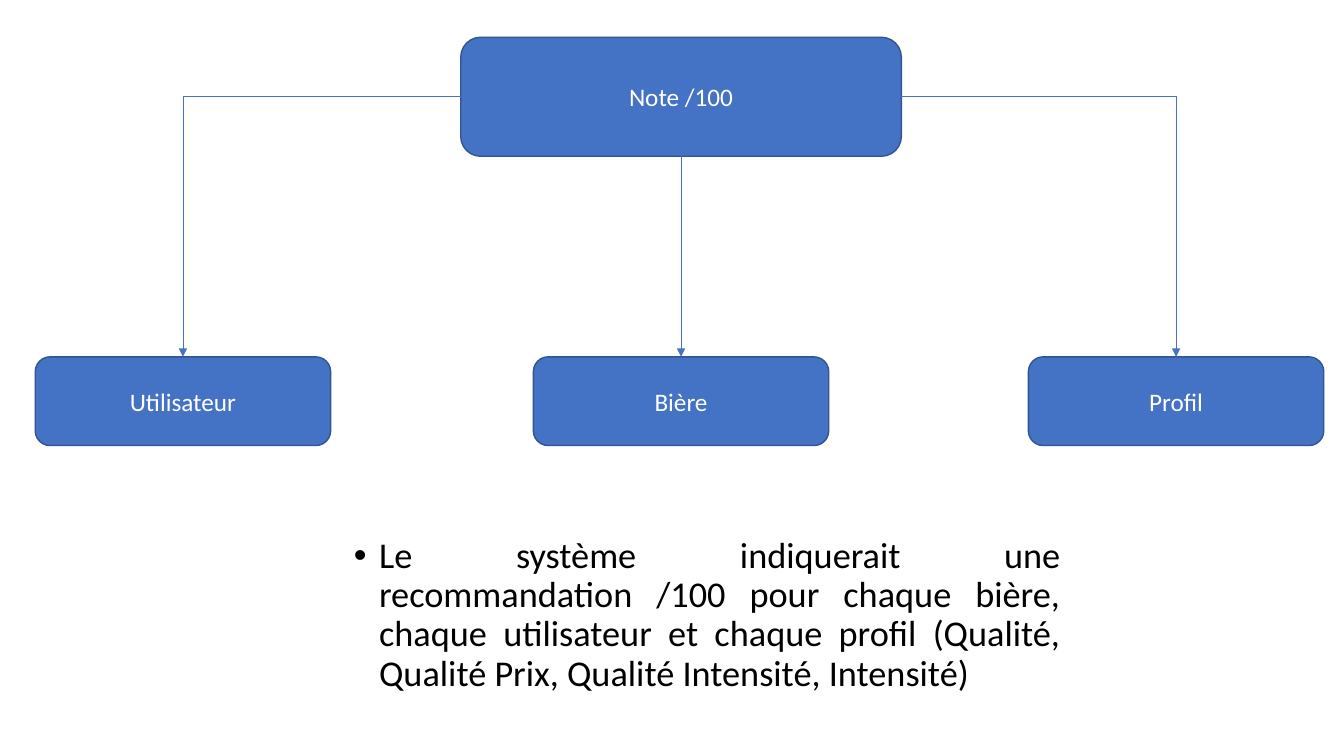
from dataclasses import dataclass

from lxml.etree import SubElement
from pptx import Presentation
from pptx.dml.color import RGBColor as Rgb
from pptx.enum.shapes import MSO_CONNECTOR as Link, MSO_SHAPE as Preset
from pptx.enum.text import MSO_ANCHOR as Anchor, MSO_AUTO_SIZE as AutoSize, PP_ALIGN as Align
from pptx.oxml.ns import qn
from pptx.util import Inches, Pt


@dataclass(frozen=True)
class Theme:
    """Colours, font and sizes of the slide."""
    fill: Rgb = Rgb(0x44, 0x72, 0xC4)
    outline: Rgb = Rgb(0x32, 0x54, 0x91)
    label: Rgb = Rgb(0xFF, 0xFF, 0xFF)
    body: Rgb = Rgb(0, 0, 0)
    font: str = "Calibri"
    label_size: float = 18
    body_size: float = 25.9


THEME = Theme()
TOP, LEFT, BOTTOM, RIGHT = range(4)
CRITERIA = (
    ("Utilisateur", 0.35, LEFT, Link.ELBOW),
    ("Bière", 5.29, BOTTOM, Link.STRAIGHT),
    ("Profil", 10.2, RIGHT, Link.ELBOW),
)
RECOMMENDATION = (
    "Le système indiquerait une recommandation /100 pour chaque bière, "
    "chaque utilisateur et chaque profil (Qualité, Qualité Prix, "
    "Qualité Intensité, Intensité)"
)


def add_run(paragraph, wording, size, color):
    """Append a run in the theme font."""
    run = paragraph.add_run()
    run.text = wording
    run.font.name = THEME.font
    run.font.size = Pt(size)
    run.font.color.rgb = color


def add_node(slide, wording, left, top, width, height):
    """Add a rounded box with a centred label."""
    node = slide.shapes.add_shape(
        Preset.ROUNDED_RECTANGLE, *map(Inches, (left, top, width, height)))
    node.shadow.inherit = False
    node.fill.solid()
    node.fill.fore_color.rgb = THEME.fill
    node.line.color.rgb = THEME.outline
    node.line.width = Pt(1)
    node.text_frame.vertical_anchor = Anchor.MIDDLE
    paragraph = node.text_frame.paragraphs[0]
    paragraph.alignment = Align.CENTER
    add_run(paragraph, wording, THEME.label_size, THEME.label)
    return node


def add_arrow(slide, score, criterion, side, route):
    """Link one side of the score to the top of a criterion."""
    arrow = slide.shapes.add_connector(route, 0, 0, 0, 0)
    arrow.begin_connect(score, side)
    arrow.end_connect(criterion, TOP)
    arrow.line.color.rgb = THEME.fill
    arrow.line.width = Pt(0.5)
    properties = arrow.element.spPr
    SubElement(properties.find(qn("a:ln")), qn("a:tailEnd"), type="triangle")
    SubElement(properties, qn("a:effectLst"))
    if route == Link.ELBOW:
        adjustments = properties.find(qn("a:prstGeom")).find(qn("a:avLst"))
        SubElement(adjustments, qn("a:gd"), name="adj1", fmla="val 100000")


def fill_body(body, wording):
    """Place the body placeholder and write its justified bullet."""
    body.left, body.top, body.width, body.height = map(
        Inches, (3.41, 5.28, 7.21, 1.95))
    frame = body.text_frame
    frame.word_wrap = True
    frame.auto_size = AutoSize.NONE
    frame.vertical_anchor = Anchor.TOP
    paragraph = frame.paragraphs[0]
    paragraph.alignment = Align.JUSTIFY
    paragraph.line_spacing = 0.9
    paragraph.space_before = Pt(10)
    properties = paragraph._p.get_or_add_pPr()
    properties.set("marL", str(Inches(0.25)))
    properties.set("indent", str(Inches(-0.25)))
    SubElement(properties, qn("a:buFont"), typeface="Arial")
    SubElement(properties, qn("a:buChar"), char="•")
    add_run(paragraph, wording, THEME.body_size, THEME.body)


def main():
    """Build the score diagram and its explanation."""
    deck = Presentation()
    deck.slide_width, deck.slide_height = Inches(13.33), Inches(7.5)
    slide = deck.slides.add_slide(deck.slide_layouts.get_by_name("Title and Content"))
    title = slide.shapes.title.element
    title.getparent().remove(title)
    fill_body(slide.placeholders[1], RECOMMENDATION)
    score = add_node(slide, "Note /100", 4.57, 0.37, 4.37, 1.18)
    for wording, left, side, route in CRITERIA:
        criterion = add_node(slide, wording, left, 3.54, 2.93, 0.88)
        add_arrow(slide, score, criterion, side, route)
    deck.save("out.pptx")


if __name__ == "__main__":
    main()
